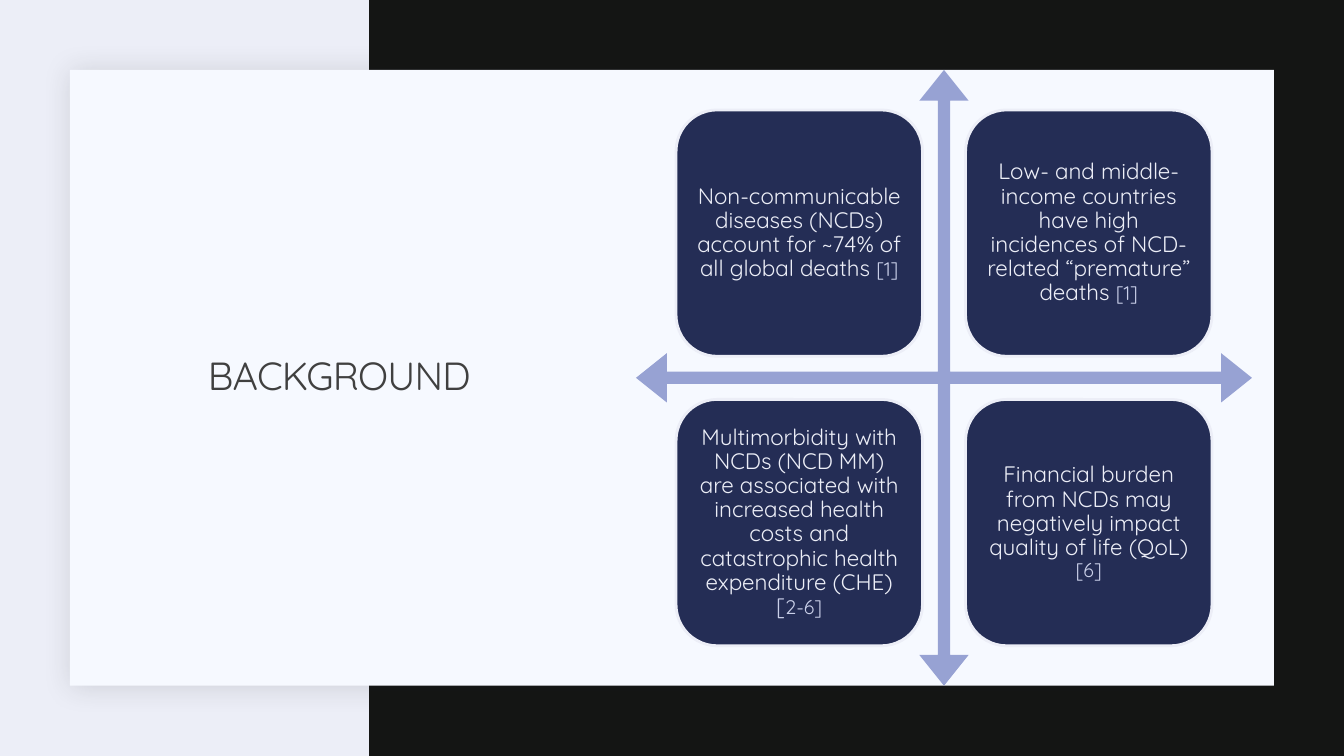
from lxml import etree
from pptx import Presentation
from pptx.dml.color import RGBColor
from pptx.enum.shapes import MSO_SHAPE
from pptx.enum.text import MSO_ANCHOR, PP_ALIGN
from pptx.oxml.ns import qn
from pptx.util import Inches, Pt

RECT = MSO_SHAPE.RECTANGLE
ROUNDED = MSO_SHAPE.ROUNDED_RECTANGLE
QUAD_ARROW = MSO_SHAPE.QUAD_ARROW
CENTER = PP_ALIGN.CENTER
MIDDLE = MSO_ANCHOR.MIDDLE

COLUMNS = 160
MARGIN = 8.33
PANEL_WIDTH, PANEL_HEIGHT = 143.33, 73.33
MATRIX_LEFT = 75.72

# Each card: statement and its references, as (text, size, colour) runs
PALE, MUTED = "ECEEF7", "CAD0E9"
CARDS = [
    [("Non-communicable diseases (NCDs) account for ~74% of all global deaths ", 16, PALE),
     ("[1]", 14, MUTED)],
    [("Low- and middle- income countries have high incidences of NCD-related “premature” deaths ",
      16, PALE),
     ("[1]", 14, MUTED)],
    [("Multimorbidity with NCDs (NCD MM) are associated with increased health costs and "
      "catastrophic health expenditure (CHE)", 16, PALE),
     ("[", 16, MUTED), ("2-6]", 14, MUTED)],
    [("Financial burden from NCDs may negatively impact quality of life (QoL) ", 16, PALE),
     ("[6]", 14, MUTED)],
]


def colour(hex_string):
    return RGBColor.from_string(hex_string)


def write(paragraph, text, *, size, color, font="Quicksand", spacing=None):
    """Append a formatted run; spacing is in hundredths of a point."""
    run = paragraph.add_run()
    run.text = text
    run.font.name = font
    run.font.size = Pt(size)
    run.font.color.rgb = colour(color)
    if spacing is not None:
        run.font._element.set("spc", str(spacing))


class Deck:
    """One slide laid out on a square grid, 160 columns by 90 rows."""

    def __init__(self, background):
        self.presentation = Presentation()
        self.presentation.slide_width = Inches(13.33)
        self.presentation.slide_height = Inches(7.5)
        self.slide = self.presentation.slides.add_slide(self.presentation.slide_layouts[6])
        self.slide.background.fill.solid()
        self.slide.background.fill.fore_color.rgb = colour(background)

    def place(self, *cells):
        unit = self.presentation.slide_width / COLUMNS
        return [round(cell * unit) for cell in cells]

    def shape(self, kind, left, top, width, height, fill, line=None, adjustments=()):
        shape = self.slide.shapes.add_shape(kind, *self.place(left, top, width, height))
        shape.shadow.inherit = False
        shape.fill.solid()
        shape.fill.fore_color.rgb = colour(fill)
        if line:
            shape.line.color.rgb = colour(line)
            shape.line.width = Pt(2)
        else:
            shape.line.fill.background()
        for index, value in enumerate(adjustments):
            shape.adjustments[index] = value
        return shape

    def soft_shadow(self, shape):
        effects = shape._element.spPr.find(qn("a:effectLst"))
        shadow = etree.SubElement(effects, qn("a:outerShdw"), blurRad=str(Pt(20)),
                                  dist=str(Pt(2)), dir="2700000", rotWithShape="0")
        tint = etree.SubElement(shadow, qn("a:srgbClr"), val="1F2125")
        etree.SubElement(tint, qn("a:alpha"), val="15000")

    def centred_paragraph(self, shape, inset):
        frame = shape.text_frame
        frame.word_wrap = True
        frame.vertical_anchor = MIDDLE
        frame.margin_left = frame.margin_right = Inches(inset)
        frame.margin_top = frame.margin_bottom = Inches(inset)
        paragraph = frame.paragraphs[0]
        paragraph.alignment = CENTER
        paragraph.line_spacing = 0.9
        return paragraph

    def title(self, text, left, top, width, height):
        box = self.slide.shapes.add_textbox(*self.place(left, top, width, height))
        write(self.centred_paragraph(box, 0.05), text, size=28, color="404040", spacing=-50)

    def card(self, runs, left, top, side):
        card = self.shape(ROUNDED, left, top, side, side, "242D55", line=PALE)
        paragraph = self.centred_paragraph(card, 0.07)
        for text, size, color in runs:
            write(paragraph, text, size=size, color=color)


def main():
    deck = Deck(background=PALE)
    deck.shape(RECT, 43.95, 0, 116.05, 90, "141514")
    panel = deck.shape(RECT, MARGIN, MARGIN, PANEL_WIDTH, PANEL_HEIGHT, "F6F9FF")
    deck.soft_shadow(panel)
    deck.title("BACKGROUND", MARGIN, 41.2, 64.1, 7.64)

    deck.shape(QUAD_ARROW, MATRIX_LEFT, MARGIN, PANEL_HEIGHT, PANEL_HEIGHT, "97A2D3",
               adjustments=(0.02, 0.04, 0.05))
    side, edge, pitch = (share * PANEL_HEIGHT for share in (0.4, 0.065, 0.47))
    for index, runs in enumerate(CARDS):
        row, column = divmod(index, 2)
        deck.card(runs, MATRIX_LEFT + edge + column * pitch, MARGIN + edge + row * pitch, side)

    deck.presentation.save("out.pptx")


if __name__ == "__main__":
    main()
